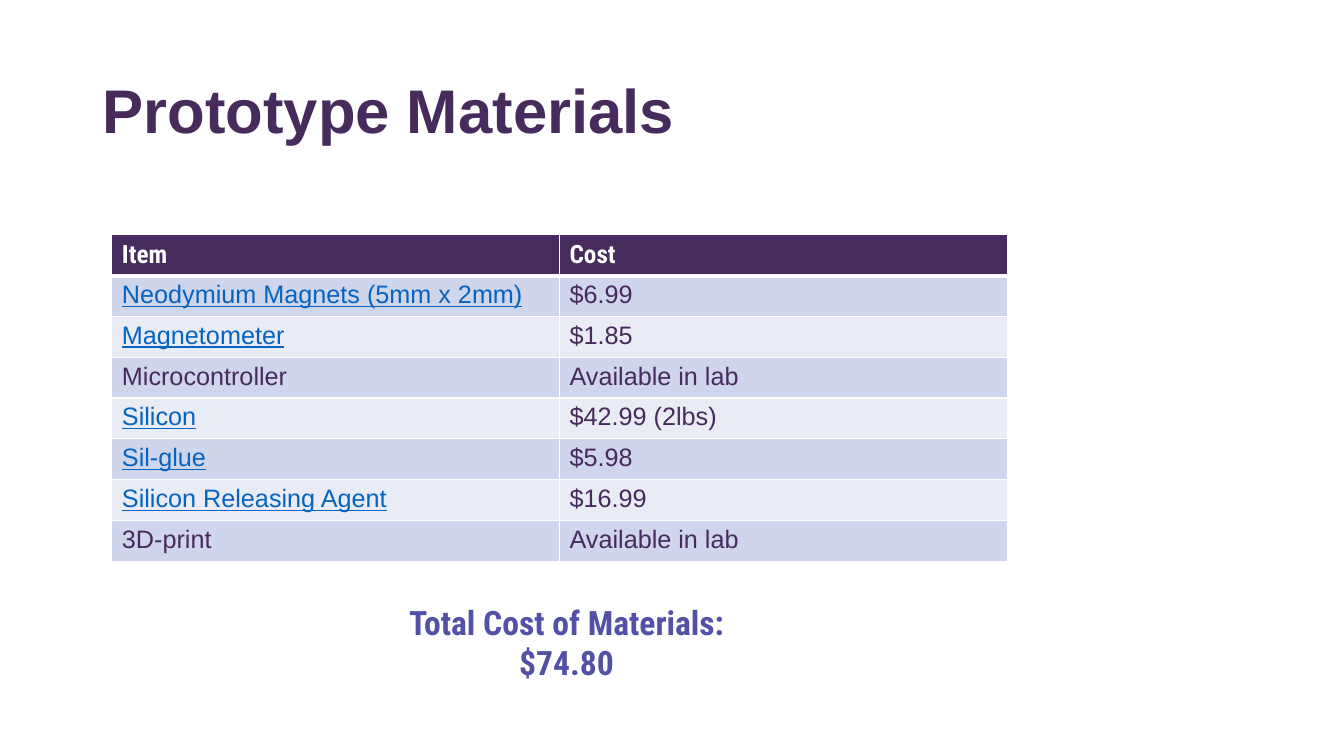
from lxml import etree
from pptx import Presentation
from pptx.dml.color import RGBColor
from pptx.enum.text import MSO_ANCHOR, PP_ALIGN
from pptx.oxml.ns import qn
from pptx.util import Inches, Pt

PURPLE = RGBColor(0x47, 0x2B, 0x5C)
VIOLET = RGBColor(0x53, 0x50, 0xA7)
LINK_BLUE = RGBColor(0x05, 0x63, 0xC1)
WHITE = RGBColor(0xFF, 0xFF, 0xFF)
BAND_DARK = RGBColor(0xCF, 0xD5, 0xEA)
BAND_LIGHT = RGBColor(0xE9, 0xEB, 0xF5)
HEADING_FONT = "Roboto Condensed"

# Item, cost, whether the item is styled as a link
MATERIALS = [
    ("Neodymium Magnets (5mm x 2mm)", "$6.99", True),
    ("Magnetometer", "$1.85", True),
    ("Microcontroller", "Available in lab", False),
    ("Silicon", "$42.99 (2lbs)", True),
    ("Sil-glue", "$5.98", True),
    ("Silicon Releasing Agent", "$16.99", True),
    ("3D-print", "Available in lab", False),
]


def write(frame, text, size=18, font="Arial", color=PURPLE, bold=False,
          underline=False, align=PP_ALIGN.LEFT, spacing=None):
    frame.word_wrap = True
    paragraph = frame.paragraphs[0]
    paragraph.alignment = align
    paragraph.line_spacing = spacing
    run = paragraph.add_run()
    run.text = text
    run.font.size = Pt(size)
    run.font.name = font
    run.font.color.rgb = color
    run.font.bold = bold
    run.font.underline = underline


def style_cell(cell, fill, bottom_width=1):
    """Give the cell white borders and a solid fill."""
    properties = cell._tc.get_or_add_tcPr()
    for side, width in (("L", 1), ("R", 1), ("T", 1), ("B", bottom_width)):
        border = etree.SubElement(properties, qn(f"a:ln{side}"), w=str(Pt(width)))
        solid = etree.SubElement(border, qn("a:solidFill"))
        etree.SubElement(solid, qn("a:srgbClr"), val=str(WHITE))
    cell.fill.solid()
    cell.fill.fore_color.rgb = fill


prs = Presentation()
prs.slide_width = Inches(13.33)
prs.slide_height = Inches(7.5)
slide = prs.slides.add_slide(prs.slide_layouts[6])

title = slide.shapes.add_textbox(Inches(0.92), Inches(0.4), Inches(11.5), Inches(1.45))
title.text_frame.vertical_anchor = MSO_ANCHOR.MIDDLE
write(title.text_frame, "Prototype Materials", size=44, bold=True, spacing=0.9)

total = slide.shapes.add_textbox(Inches(3.67), Inches(5.92), Inches(3.9), Inches(0.91))
write(total.text_frame, "Total Cost of Materials: $74.80", size=24,
      font=HEADING_FONT, color=VIOLET, bold=True, align=PP_ALIGN.CENTER)

costs = slide.shapes.add_table(len(MATERIALS) + 1, 2, Inches(1.11), Inches(2.33),
                               Inches(8.88), Inches(3.24)).table

for column, heading in enumerate(("Item", "Cost")):
    cell = costs.cell(0, column)
    style_cell(cell, PURPLE, bottom_width=3)
    write(cell.text_frame, heading, font=HEADING_FONT, color=WHITE, bold=True)

for row, (item, cost, linked) in enumerate(MATERIALS, start=1):
    item_cell, cost_cell = costs.cell(row, 0), costs.cell(row, 1)
    for cell in (item_cell, cost_cell):
        style_cell(cell, BAND_DARK if row % 2 else BAND_LIGHT)
    write(item_cell.text_frame, item, color=LINK_BLUE if linked else PURPLE,
          underline=linked)
    write(cost_cell.text_frame, cost)

prs.save("out.pptx")
